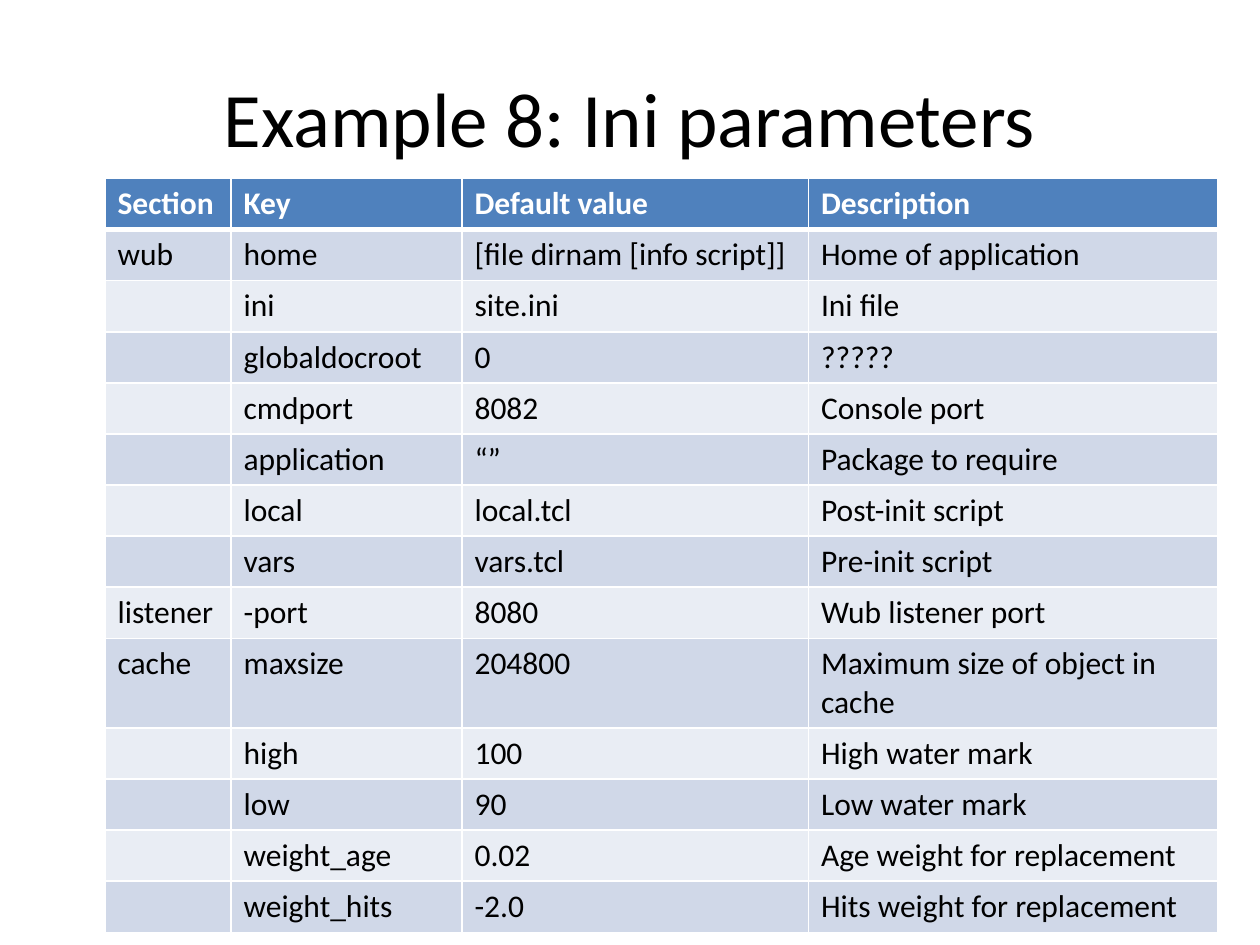
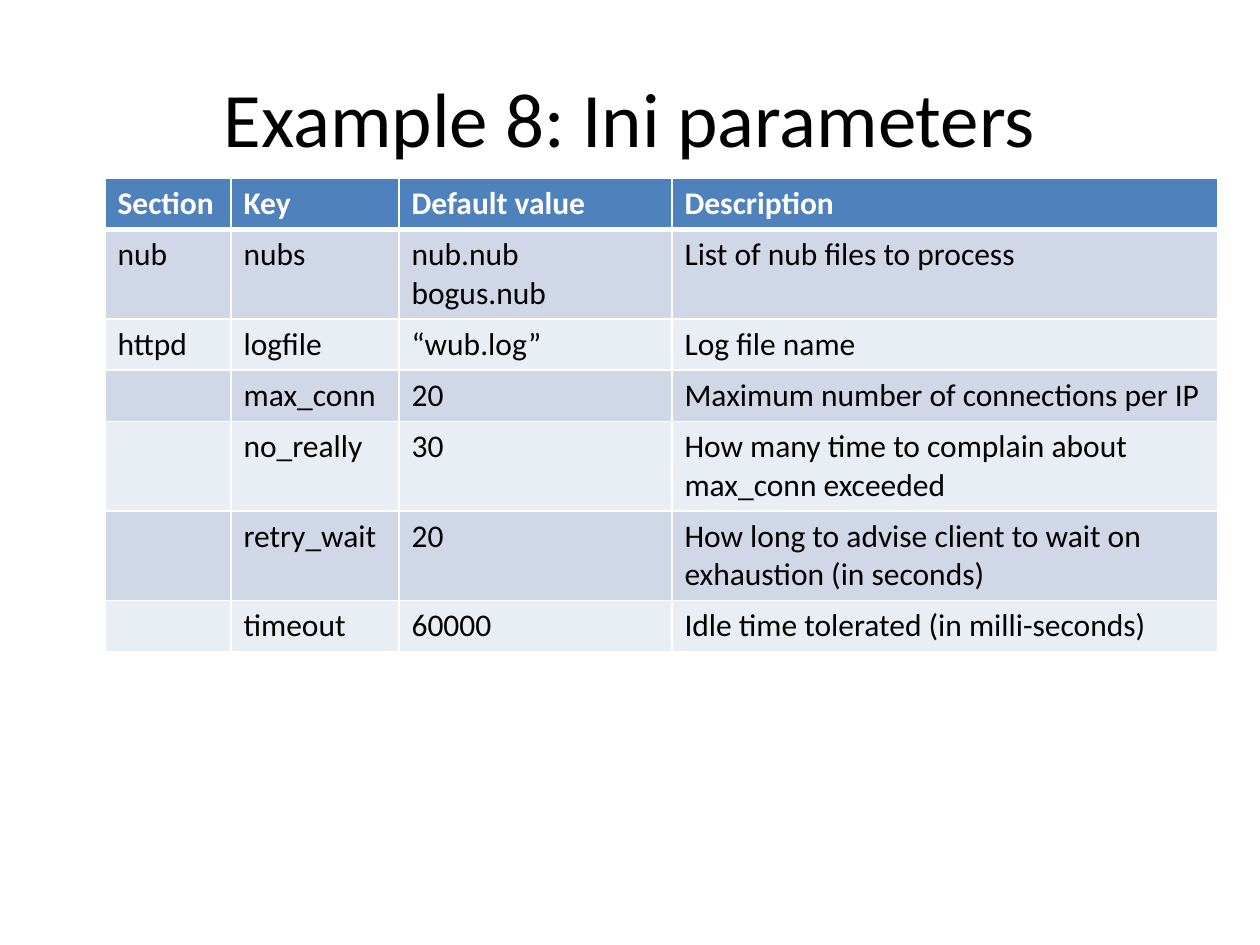
"""Build two slides that tabulate the ini parameters of Example 8."""
import lxml.etree
import pptx
import pptx.dml.color
import pptx.enum.text
import pptx.oxml.ns
import pptx.util

WHITE = pptx.dml.color.RGBColor(0xFF, 0xFF, 0xFF)
BLACK = pptx.dml.color.RGBColor(0x00, 0x00, 0x00)
HEADER_BLUE = pptx.dml.color.RGBColor(0x4F, 0x81, 0xBD)
BAND_DARK = pptx.dml.color.RGBColor(0xD0, 0xD8, 0xE8)
BAND_LIGHT = pptx.dml.color.RGBColor(0xE9, 0xED, 0xF4)
FONT = "Calibri"

TITLE = "Example 8: Ini parameters"
HEADINGS = ("Section", "Key", "Default value", "Description")

APPLICATION_PARAMETERS = [
    ("wub", "home", "[file dirnam [info script]]", "Home of application"),
    ("", "ini", "site.ini", "Ini file"),
    ("", "globaldocroot", "0", "?????"),
    ("", "cmdport", "8082", "Console port"),
    ("", "application", "“”", "Package to require"),
    ("", "local", "local.tcl", "Post-init script"),
    ("", "vars", "vars.tcl", "Pre-init script"),
    ("listener", "-port", "8080", "Wub listener port"),
    ("cache", "maxsize", "204800", "Maximum size of object in cache"),
    ("", "high", "100", "High water mark"),
    ("", "low", "90", "Low water mark"),
    ("", "weight_age", "0.02", "Age weight for replacement"),
    ("", "weight_hits", "-2.0", "Hits weight for replacement"),
]
SERVER_PARAMETERS = [
    ("nub", "nubs", "nub.nub bogus.nub", "List of nub files to process"),
    ("httpd", "logfile", "“wub.log”", "Log file name"),
    ("", "max_conn", "20", "Maximum number of connections per IP"),
    ("", "no_really", "30", "How many time to complain about max_conn exceeded"),
    ("", "retry_wait", "20", "How long to advise client to wait on exhaustion (in seconds)"),
    ("", "timeout", "60000", "Idle time tolerated (in milli-seconds)"),
]
PAGES = [
    (APPLICATION_PARAMETERS, (12, 22, 33, 39)),
    (SERVER_PARAMETERS, (12, 16, 26, 52)),
]


def add_text(paragraph, text, size, color, bold=False):
    run = paragraph.add_run()
    run.text = text
    run.font.name = FONT
    run.font.size = pptx.util.Pt(size)
    run.font.bold = bold
    run.font.color.rgb = color


def add_border(cell, side, points):
    properties = cell._tc.get_or_add_tcPr()
    line = lxml.etree.SubElement(
        properties, pptx.oxml.ns.qn(f"a:ln{side}"), w=str(pptx.util.Pt(points)))
    fill = lxml.etree.SubElement(line, pptx.oxml.ns.qn("a:solidFill"))
    lxml.etree.SubElement(fill, pptx.oxml.ns.qn("a:srgbClr"), val=str(WHITE))


deck = pptx.Presentation()
deck.slide_width = pptx.util.Inches(10)
deck.slide_height = pptx.util.Inches(7.5)
title_only = deck.slide_layouts[5]

GRID = deck.slide_width // 120
ROW_HEIGHT = int(deck.slide_height * 0.0541)

for parameters, column_units in PAGES:
    slide = deck.slides.add_slide(title_only)

    heading = slide.shapes.title
    heading.left, heading.top = int(deck.slide_width * 0.05), int(deck.slide_height * 0.04)
    heading.width, heading.height = int(deck.slide_width * 0.9), deck.slide_height // 6
    heading.text_frame.vertical_anchor = pptx.enum.text.MSO_ANCHOR.MIDDLE
    heading_line = heading.text_frame.paragraphs[0]
    heading_line.alignment = pptx.enum.text.PP_ALIGN.CENTER
    add_text(heading_line, TITLE, 44, BLACK)

    rows = [HEADINGS, *parameters]
    listing = slide.shapes.add_table(
        len(rows), len(HEADINGS), 10 * GRID, 17 * GRID,
        sum(column_units) * GRID, len(rows) * ROW_HEIGHT).table
    for column, units in zip(listing.columns, column_units):
        column.width = units * GRID

    for row_number, values in enumerate(rows):
        listing.rows[row_number].height = ROW_HEIGHT
        is_header = row_number == 0
        band = BAND_DARK if row_number % 2 else BAND_LIGHT
        top_width = 3 if row_number == 1 else 1
        bottom_width = 3 if is_header else 1
        for column_number, value in enumerate(values):
            cell = listing.cell(row_number, column_number)
            for side, points in zip("LRTB", (1, 1, top_width, bottom_width)):
                add_border(cell, side, points)
            cell.fill.solid()
            cell.fill.fore_color.rgb = HEADER_BLUE if is_header else band
            if value:
                add_text(cell.text_frame.paragraphs[0], value, 18,
                         WHITE if is_header else BLACK, is_header)

deck.save("out.pptx")
